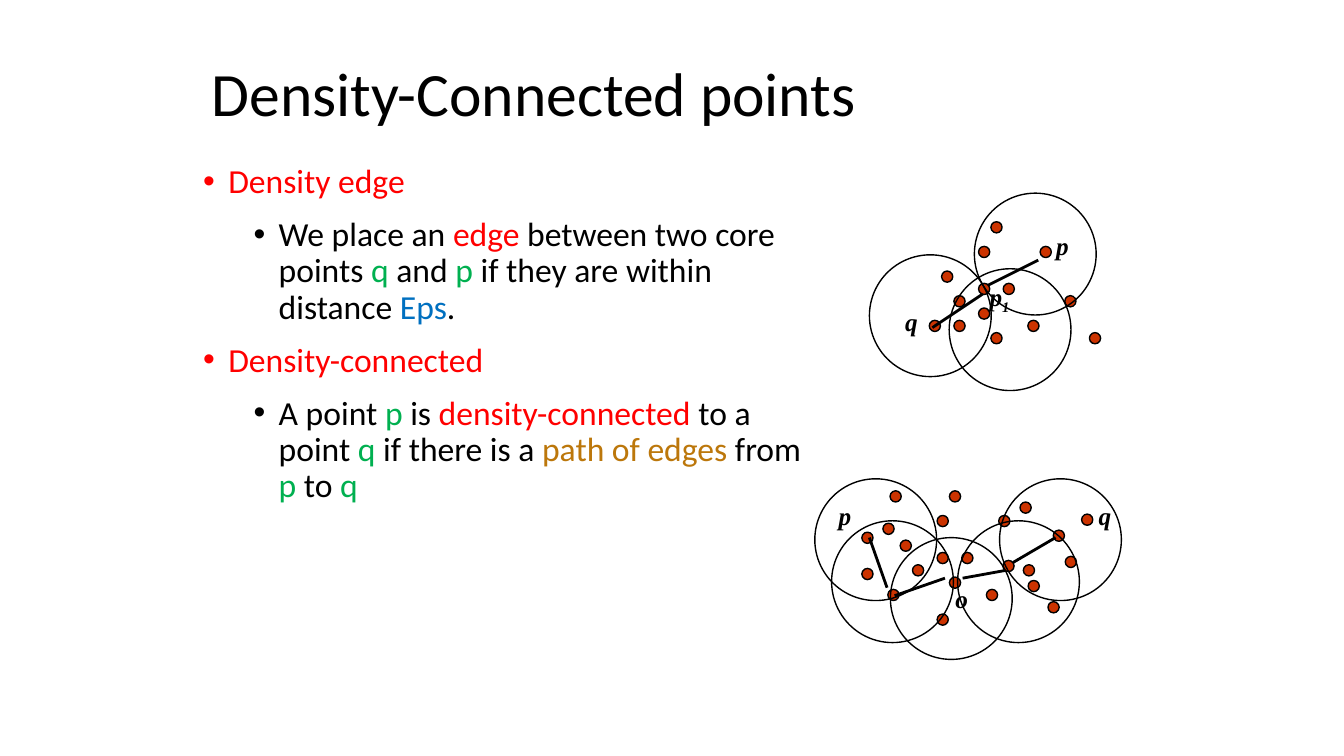
from lxml import etree
from pptx import Presentation
from pptx import util as u
from pptx.dml.color import RGBColor
from pptx.enum import shapes, text
from pptx.oxml import ns

BLACK = RGBColor(0x00, 0x00, 0x00)
RED = RGBColor(0xFF, 0x00, 0x00)
GREEN = RGBColor(0x00, 0xB0, 0x50)
BLUE = RGBColor(0x00, 0x70, 0xC0)
OCHRE = RGBColor(0xBC, 0x77, 0x0B)
DOT_RED = RGBColor(0xCC, 0x33, 0x00)

GRID_STEP = 8.8
DOT_SIZE = 8
CIRCLE_SIZE = 87

# Each bullet: level, then runs of words and colour
BULLETS = [
    (0, [("Density edge", RED)]),
    (1, [("We place an ", BLACK), ("edge", RED), (" between two core points ", BLACK),
         ("q", GREEN), (" and ", BLACK), ("p", GREEN),
         (" if they are within distance ", BLACK), ("Eps", BLUE), (".", BLACK)]),
    (0, [("Density-connected", RED)]),
    (1, [("A point ", BLACK), ("p", GREEN), (" is ", BLACK), ("density-connected", RED),
         (" to a point ", BLACK), ("q ", GREEN), ("if there is a ", BLACK),
         ("path of edges ", OCHRE), ("from ", BLACK), ("p", GREEN), (" to ", BLACK),
         ("q", GREEN)]),
]

# Dots are (column, row) on a grid; the other positions are points within the figure
EDGE_FIGURE = {
    "grid_start": (42.8, 20.4),
    "dots": [(1, 4), (4, 5), (4, 2), (0, 8), (2, 6), (2, 8), (5, 9), (5, 0), (11, 6),
             (9, 2), (4, 7), (6, 5), (8, 8), (13, 9)],
    "circles": [(57, 54), (0, 44), (75, 0)],
    "edges": [(120.6, 47.8, 84.6, 65.8), (45, 96, 81, 72)],
    "labels": [("p", "", 126.4, 23.3), ("q", "", 18.4, 77.3), ("p", "1", 78.8, 59.3)],
}
PATH_FIGURE = {
    "grid_start": (52.2, 8.6),
    "dots": [(1, 4), (4, 5), (4, 2), (0, 8), (2, 6), (4, 10), (5, 7), (5, 0), (11, 6),
             (9, 2), (6, 5), (8, 8), (13, 9), (-2.11, 6.3), (14.4, 5.32), (9.34, 5.65),
             (11.39, 7.28), (15.73, 1.89), (10.73, 0.91), (13.43, 3.19), (-0.4, 2.63),
             (-2.11, 3.36), (0.18, 0)],
    "circles": [(0, 0), (12, 30), (54, 42), (102, 30), (132, 0)],
    "edges": [(57, 83.5, 93, 71), (136, 65.5, 105.6, 71), (39, 42, 51.6, 77.8),
              (172, 42, 141.6, 59.8)],
    "labels": [("p", "", 10, 11.5), ("q", "", 195.6, 11.5), ("o", "", 93.4, 71.3)],
}


def format_run(run, size, font_name, color):
    run.font.size = u.Pt(size)
    run.font.name = font_name
    run.font.color.rgb = color


def add_title(slide, left, top, width, height):
    title = slide.shapes.title
    title.left, title.top = u.Pt(left), u.Pt(top)
    title.width, title.height = u.Pt(width), u.Pt(height)
    title.text_frame.text = "Density-Connected points"
    title.text_frame.vertical_anchor = text.MSO_ANCHOR.MIDDLE
    paragraph = title.text_frame.paragraphs[0]
    paragraph.alignment = text.PP_ALIGN.LEFT
    paragraph.line_spacing = 0.9
    format_run(paragraph.runs[0], 44, "Calibri", BLACK)


def add_bullets(slide, left, top, width, height):
    box = slide.shapes.add_textbox(u.Pt(left), u.Pt(top), u.Pt(width), u.Pt(height))
    frame = box.text_frame
    frame.word_wrap = True
    for index, (level, runs) in enumerate(BULLETS):
        paragraph = frame.add_paragraph() if index else frame.paragraphs[0]
        paragraph.level = level
        paragraph.line_spacing = 0.9
        if index:
            paragraph.space_before = u.Pt(12)
        properties = paragraph._p.get_or_add_pPr()
        properties.set("marL", str(u.Pt(18 + 36 * level)))
        properties.set("indent", str(u.Pt(-18)))
        etree.SubElement(properties, ns.qn("a:buFont")).set("typeface", "Arial")
        etree.SubElement(properties, ns.qn("a:buChar")).set("char", "•")
        for words, color in runs:
            run = paragraph.add_run()
            run.text = words
            format_run(run, 24, "Calibri", color)


def add_circle(slide, left, top, size, fill=None):
    circle = slide.shapes.add_shape(
        shapes.MSO_SHAPE.OVAL, u.Pt(left), u.Pt(top), u.Pt(size), u.Pt(size))
    circle.shadow.inherit = False
    if fill is None:
        circle.fill.background()
    else:
        circle.fill.solid()
        circle.fill.fore_color.rgb = fill
    circle.line.color.rgb = BLACK
    circle.line.width = u.Pt(1)


def add_edge(slide, x1, y1, x2, y2):
    edge = slide.shapes.add_connector(
        shapes.MSO_CONNECTOR.STRAIGHT, u.Pt(x1), u.Pt(y1), u.Pt(x2), u.Pt(y2))
    edge.line.color.rgb = BLACK
    edge.line.width = u.Pt(2)
    etree.SubElement(edge._element.spPr, ns.qn("a:effectLst"))


def add_label(slide, letter, subscript, left, top):
    width = 48 if subscript else 30
    label = slide.shapes.add_textbox(u.Pt(left), u.Pt(top), u.Pt(width), u.Pt(29))
    label.text_frame.word_wrap = True
    paragraph = label.text_frame.paragraphs[0]
    for words in filter(None, (letter, subscript)):
        run = paragraph.add_run()
        run.text = words
        format_run(run, 18, "Times New Roman", BLACK)
        run.font.bold = run.font.italic = True
    if subscript:
        run.font._element.set("baseline", "-25000")


def add_figure(slide, left, top, figure):
    # Points
    grid_left, grid_top = figure["grid_start"]
    for column, row in figure["dots"]:
        add_circle(slide, left + grid_left + column * GRID_STEP,
                   top + grid_top + row * GRID_STEP, DOT_SIZE, DOT_RED)
    # Neighbourhoods
    for x, y in figure["circles"]:
        add_circle(slide, left + x, top + y, CIRCLE_SIZE)
    # Density edges
    for x1, y1, x2, y2 in figure["edges"]:
        add_edge(slide, left + x1, top + y1, left + x2, top + y2)
    # Point names
    for letter, subscript, x, y in figure["labels"]:
        add_label(slide, letter, subscript, left + x, top + y)


def main():
    presentation = Presentation()
    presentation.slide_width = u.Pt(960)
    presentation.slide_height = u.Pt(540)
    slide = presentation.slides.add_slide(presentation.slide_layouts.get_by_name("Title Only"))
    add_title(slide, 144, 36, 664, 66)
    add_bullets(slide, 138, 114, 444, 396)
    add_figure(slide, 621, 138, EDGE_FIGURE)
    add_figure(slide, 582, 342, PATH_FIGURE)
    presentation.save("out.pptx")


if __name__ == "__main__":
    main()
